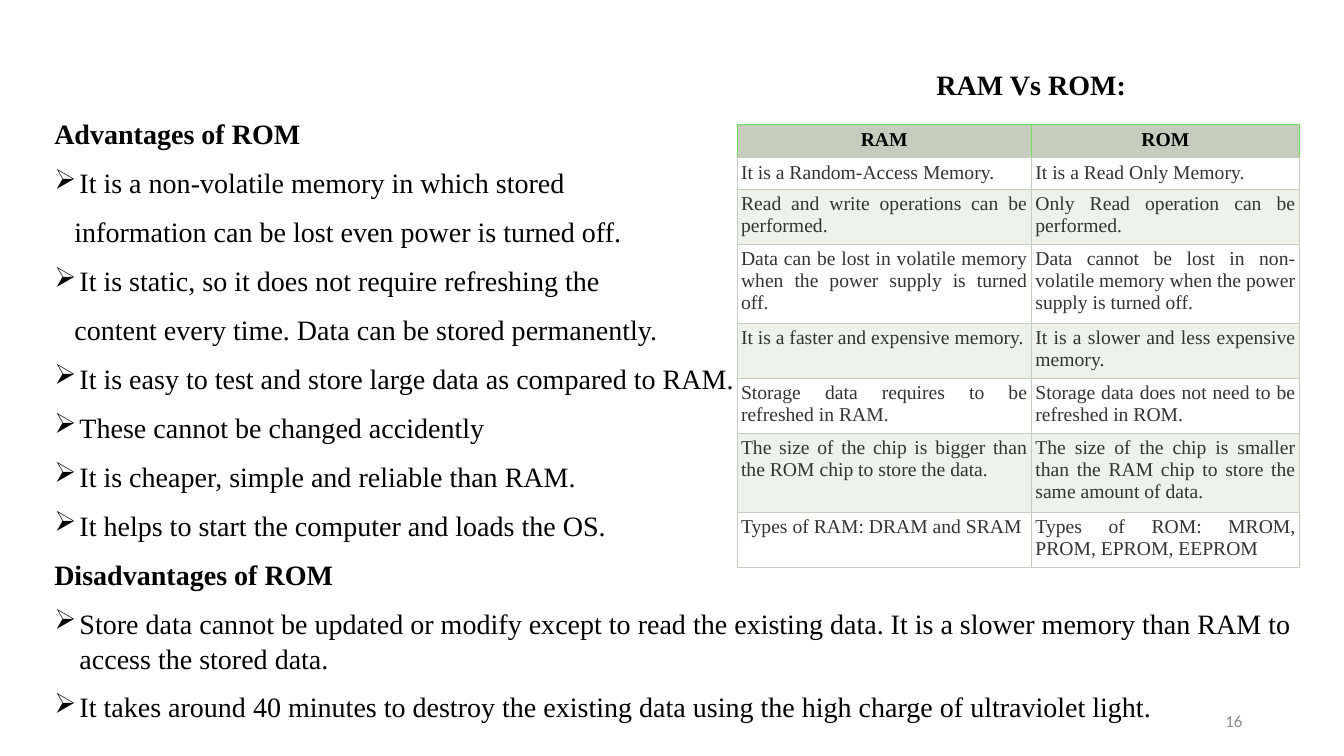
from lxml import etree
from pptx import Presentation, util as u
from pptx.dml.color import RGBColor
from pptx.enum import text
from pptx.oxml import ns

BLACK = RGBColor(0x00, 0x00, 0x00)
CELL_TEXT = RGBColor(0x33, 0x33, 0x33)
PAGE_GRAY = RGBColor(0x8C, 0x8C, 0x8C)
SAGE = RGBColor(0xC7, 0xCC, 0xBE)
GREEN = RGBColor(0x70, 0xE0, 0x60)
WHITE = RGBColor(0xFF, 0xFF, 0xFF)
PALE = RGBColor(0xEF, 0xF1, 0xEB)
ALIGN = text.PP_ALIGN

# Paragraph kind: (left indent, first-line indent)
INDENTS = {"title": (8.75, 0), "heading": (0, 0), "bullet": (0.25, -0.25), "more": (0.2, 0)}

BODY = [
    ("title", "RAM Vs ROM:"),
    ("heading", "Advantages of ROM"),
    ("bullet", "It is a non-volatile memory in which stored"),
    ("more", "information can be lost even power is turned off."),
    ("bullet", "It is static, so it does not require refreshing the"),
    ("more", "content every time. Data can be stored permanently."),
    ("bullet", "It is easy to test and store large data as compared to RAM."),
    ("bullet", "These cannot be changed accidently"),
    ("bullet", "It is cheaper, simple and reliable than RAM."),
    ("bullet", "It helps to start the computer and loads the OS."),
    ("heading", "Disadvantages of ROM"),
    ("bullet", "Store data cannot be updated or modify except to read the existing data. "
               "It is a slower memory than RAM to access the stored data."),
    ("bullet", "It takes around 40 minutes to destroy the existing data using "
               "the high charge of ultraviolet light."),
]

# Row height, RAM text, ROM text
COMPARISON = [
    (0.32, "RAM", "ROM"),
    (0.29, "It is a Random-Access Memory.", "It is a Read Only Memory."),
    (0.51, "Read and write operations can be performed.",
     "Only Read operation can be performed."),
    (0.71, "Data can be lost in volatile memory when the power supply is turned off.",
     "Data cannot be lost in non-volatile memory when the power supply is turned off."),
    (0.51, "It is a faster and expensive memory.",
     "It is a slower and less expensive memory."),
    (0.51, "Storage data requires to be refreshed in RAM.",
     "Storage data does not need to be refreshed in ROM."),
    (0.71, "The size of the chip is bigger than the ROM chip to store the data.",
     "The size of the chip is smaller than the RAM chip to store the same amount of data."),
    (0.51, "Types of RAM: DRAM and SRAM", "Types of ROM: MROM, PROM, EPROM, EEPROM"),
]


def set_all(target, values):
    for name, value in values.items():
        setattr(target, name, value)


class SlideBuilder:
    font = "Times New Roman"

    def __init__(self, deck):
        self.page = deck.slides.add_slide(deck.slide_layouts[6])

    def add_words(self, para, words, size, color=BLACK, bold=False, font=None):
        span = para.add_run()
        span.text = words
        set_all(span.font, {"name": font or self.font, "size": u.Pt(size), "bold": bold})
        span.font.color.rgb = color

    def text_box(self, left, top, width, height, **frame_format):
        box = self.page.shapes.add_textbox(*map(u.Inches, (left, top, width, height)))
        set_all(box.text_frame, {"word_wrap": True, **frame_format})
        return box.text_frame

    def indent(self, para, kind):
        """Apply the indents of a paragraph kind, and its bullet if it has one."""
        left, first = INDENTS[kind]
        props = para._p.get_or_add_pPr()
        props.set("marL", str(u.Inches(left)))
        props.set("indent", str(u.Inches(first)))
        if kind == "bullet":
            etree.SubElement(props, ns.qn("a:buChar")).set("char", "➢")

    def body(self, frame, items):
        for index, (kind, words) in enumerate(items):
            para = frame.add_paragraph() if index else frame.paragraphs[0]
            set_all(para, {
                "alignment": ALIGN.LEFT if kind == "title" else ALIGN.JUSTIFY,
                "line_spacing": 1.04,
                "space_before": u.Pt(10),
            })
            self.indent(para, kind)
            self.add_words(para, words, 20, bold=kind in ("title", "heading"))

    def borders(self, cell, colors):
        props = cell._tc.get_or_add_tcPr()
        for side, color in zip("LRTB", colors):
            line = etree.SubElement(props, ns.qn(f"a:ln{side}"), w=str(u.Pt(0.5)))
            fill = etree.SubElement(line, ns.qn("a:solidFill"))
            etree.SubElement(fill, ns.qn("a:srgbClr"), val=str(color))

    def cell(self, cell, words, row):
        header = row == 0
        inset = u.Inches(0.05 if header else 0.04)
        set_all(cell, {f"margin_{side}": inset for side in ("left", "right", "top", "bottom")})
        self.borders(cell, (GREEN, GREEN, GREEN, SAGE) if header else (SAGE,) * 4)
        cell.fill.solid()
        cell.fill.fore_color.rgb = SAGE if header else (PALE, WHITE)[row % 2]
        para = cell.text_frame.paragraphs[0]
        para.alignment = ALIGN.CENTER if header else ALIGN.JUSTIFY
        self.add_words(para, words, 14, BLACK if header else CELL_TEXT, bold=header)

    def table(self, left, top, widths, rows):
        height = sum(row[0] for row in rows)
        area = map(u.Inches, (left, top, sum(widths), height))
        table = self.page.shapes.add_table(len(rows), len(widths), *area).table
        set_all(table, {"first_row": False, "horz_banding": False})
        for column, width in zip(table.columns, widths):
            column.width = u.Inches(width)
        for row, (row_height, *texts) in enumerate(rows):
            table.rows[row].height = u.Inches(row_height)
            for column, words in enumerate(texts):
                self.cell(table.cell(row, column), words, row)

    def page_number(self, number):
        frame = self.text_box(9.42, 6.95, 3, 0.4, vertical_anchor=text.MSO_ANCHOR.MIDDLE)
        para = frame.paragraphs[0]
        para.alignment = ALIGN.RIGHT
        self.add_words(para, number, 12, PAGE_GRAY, font="Calibri")


def main():
    deck = Presentation()
    set_all(deck, {"slide_width": u.Inches(13.33), "slide_height": u.Inches(7.5)})
    slide = SlideBuilder(deck)
    slide.body(slide.text_box(0.44, 0, 12.47, 7.05, margin_top=u.Inches(0.66)), BODY)
    slide.page_number("16")
    slide.table(7.31, 1.23, (2.92, 2.66), COMPARISON)
    deck.save("out.pptx")


if __name__ == "__main__":
    main()
